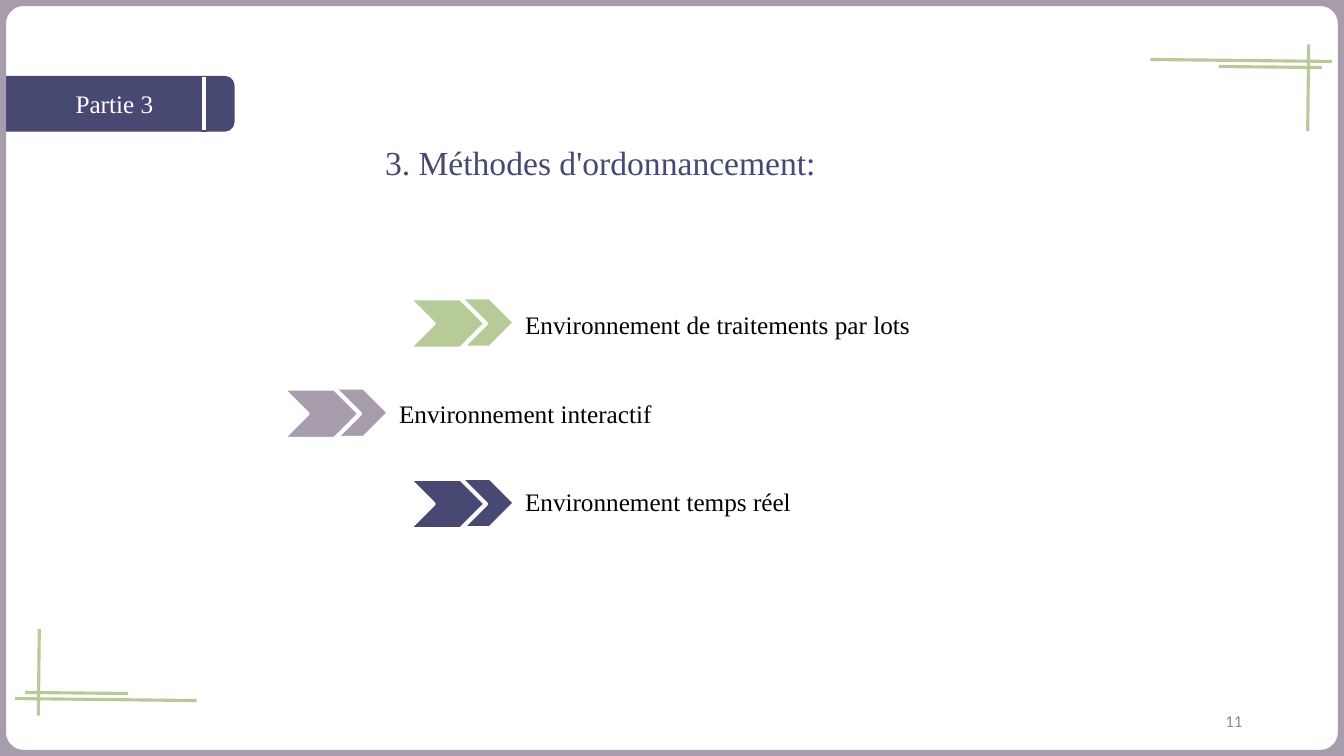
from lxml import etree
from pptx import Presentation
from pptx.dml.color import RGBColor
from pptx.enum.shapes import MSO_CONNECTOR, MSO_SHAPE
from pptx.enum.text import MSO_ANCHOR, MSO_AUTO_SIZE, PP_ALIGN
from pptx.oxml.ns import qn
from pptx.util import Inches, Pt

RECT, ROUND, CHEVRON = MSO_SHAPE.RECTANGLE, MSO_SHAPE.ROUNDED_RECTANGLE, MSO_SHAPE.CHEVRON
STRAIGHT = MSO_CONNECTOR.STRAIGHT
LEFT, CENTER, RIGHT = PP_ALIGN.LEFT, PP_ALIGN.CENTER, PP_ALIGN.RIGHT
TOP, MIDDLE = MSO_ANCHOR.TOP, MSO_ANCHOR.MIDDLE

W, H = 13.33, 7.5
NAVY, MAUVE, GREEN, WHITE, BLACK, GREY = "474972", "A79CAC", "B7CB98", "FFFFFF", "000000", "8C8C8C"
SERIF, SANS = "Times New Roman", "Calibri"

SECTION = "Partie 3"
TITLE = "3. Méthodes d'ordonnancement:"
PAGE = "11"
METHODS = [
    ("Environnement de traitements par lots", 4.05, 4.18, GREEN),
    ("Environnement interactif", 2.8, 2.76, MAUVE),
    ("Environnement temps réel", 4.05, 2.93, NAVY),
]
FIRST_CHEVRON, CHEVRON_STEP = 2.95, 0.895
FIRST_LABEL, LABEL_STEP = 3.02, 0.88
CORNER_LINES = [
    (11.41, 0.59, 13.21, 0.61),
    (12.98, 0.44, 12.97, 1.3),
    (12.09, 0.66, 13.11, 0.67),
]
TURN_X, TURN_Y = 13.36, 7.54
PATCH_W, PATCH_H = 0.12, 0.1


def rgb(color):
    return RGBColor.from_string(color)


def add_shape(kind, x, y, w, h, fill=None, line=NAVY, width=1):
    sp = s.shapes.add_shape(kind, Inches(x), Inches(y), Inches(w), Inches(h))
    sp.shadow.inherit = False
    if fill:
        sp.fill.solid()
        sp.fill.fore_color.rgb = rgb(fill)
    else:
        sp.fill.background()
    sp.line.color.rgb = rgb(line)
    sp.line.width = Pt(width)
    return sp


def add_line(x1, y1, x2, y2):
    cn = s.shapes.add_connector(STRAIGHT, Inches(x1), Inches(y1), Inches(x2), Inches(y2))
    cn.line.color.rgb = rgb(GREEN)
    cn.line.width = Pt(2.25)
    etree.SubElement(cn._element.spPr, qn("a:effectLst"))


def write(tf, text, size=18, font=SERIF, color=BLACK, align=LEFT, anchor=TOP, wrap=True):
    tf.word_wrap = wrap
    tf.vertical_anchor = anchor
    if not wrap:
        tf.auto_size = MSO_AUTO_SIZE.SHAPE_TO_FIT_TEXT
    p = tf.paragraphs[0]
    p.alignment = align
    r = p.add_run()
    r.text = text
    r.font.size = Pt(size)
    r.font.name = font
    r.font.color.rgb = rgb(color)


def add_text(x, y, w, h, text, **fmt):
    tb = s.shapes.add_textbox(Inches(x), Inches(y), Inches(w), Inches(h))
    write(tb.text_frame, text, **fmt)


prs = Presentation()
prs.slide_width, prs.slide_height = Inches(W), Inches(H)
s = prs.slides.add_slide(prs.slide_layouts[6])

banner = add_shape(ROUND, -0.05, 0.76, 2.37, 0.54, NAVY)
write(banner.text_frame, SECTION, color=WHITE, align=CENTER, anchor=MIDDLE)

for x1, y1, x2, y2 in CORNER_LINES:
    add_line(x1, y1, x2, y2)
    add_line(TURN_X - x1, TURN_Y - y1, TURN_X - x2, TURN_Y - y2)

add_shape(RECT, 2, 0.76, 0.05, 0.54, WHITE)

frame = add_shape(ROUND, 0, 0, W, H, line=MAUVE, width=8.75)
frame.adjustments[0] = 0.031
for x in (0, W - PATCH_W):
    for y in (0, H - PATCH_H):
        add_shape(RECT, x, y, PATCH_W, PATCH_H, MAUVE, MAUVE)

add_text(3.72, 1.36, 4.51, 0.5, TITLE, size=24, color=NAVY, wrap=False)

for i, (label, x, w, color) in enumerate(METHODS):
    add_text(x + 1.06, FIRST_LABEL + i * LABEL_STEP, w, 0.4, label, wrap=False)
    y = FIRST_CHEVRON + i * CHEVRON_STEP
    for dx, dy in ((0.29, 0), (0, 0.01)):
        add_shape(CHEVRON, x + dx, y + dy, 0.77, 0.5, color, WHITE, 3)

add_text(9.42, 6.95, 3, 0.4, PAGE, size=12, font=SANS, color=GREY, align=RIGHT, anchor=MIDDLE)

prs.save("out.pptx")
